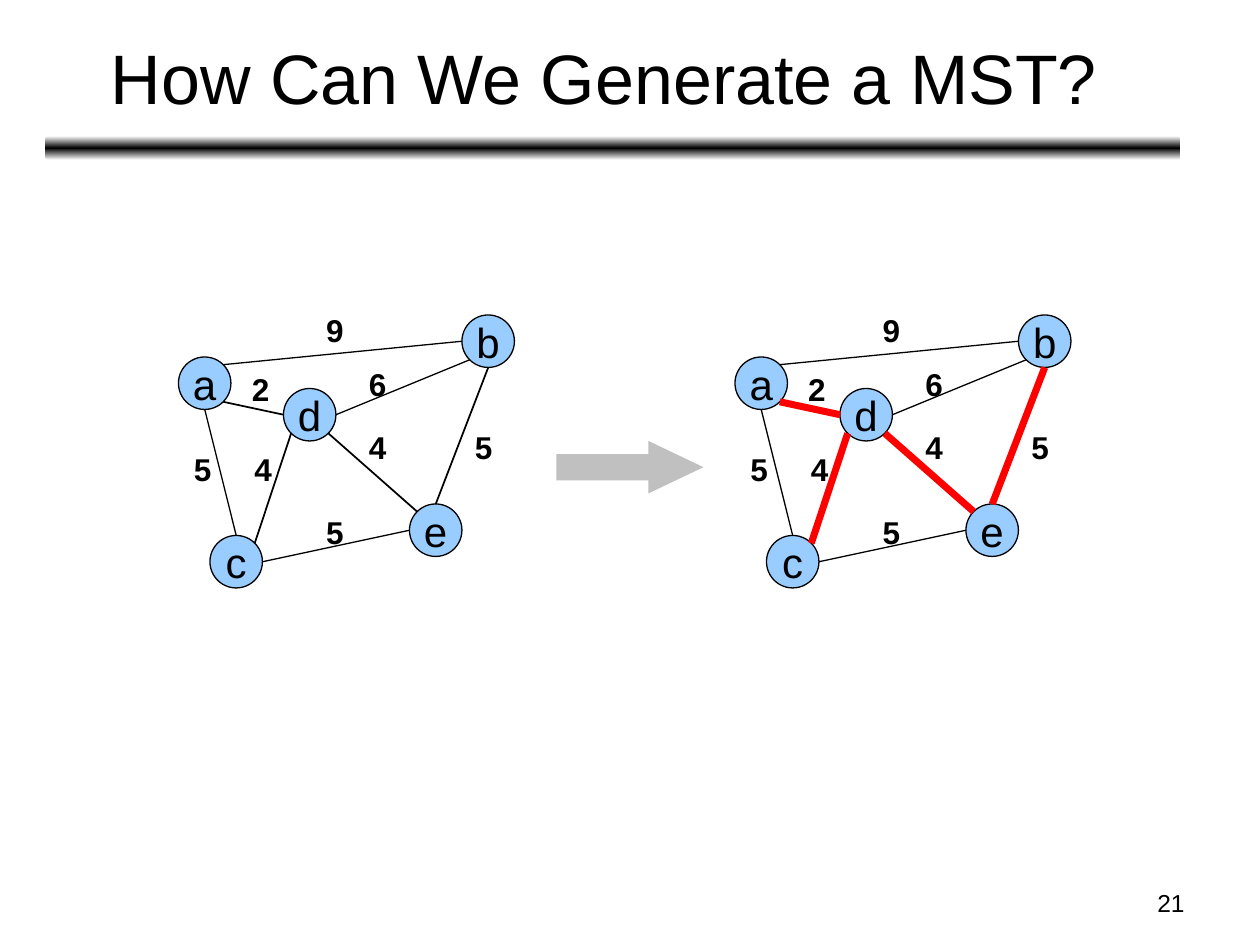
"""Build a slide that shows a weighted graph beside its minimum spanning tree."""
from copy import deepcopy
from math import cos, radians, sin

from pptx import Presentation
from pptx.dml.color import RGBColor
from pptx.enum.shapes import MSO_CONNECTOR, MSO_SHAPE as Shape
from pptx.enum.text import MSO_ANCHOR as Anchor, MSO_AUTO_SIZE as AutoSize, PP_ALIGN as Align
from pptx.oxml.ns import qn
from pptx.util import Inches, Pt

COLORS = {"ink": "000000", "paper": "FFFFFF", "node": "99CCFF",
          "tree": "FF0000", "arrow": "C0C0C0"}
FONT = "Arial"
TITLE = "How Can We Generate a MST? "
PAGE_NUMBER = "21"

WIDTH, HEIGHT = 10, 7.5
UNIT = WIDTH / 120
NODE_SIZE = 5 * UNIT
SHIFT = 53 * UNIT
LABEL_SIZE = (0.34, 0.4)

NODES = {"a": (17, 34), "c": (20, 51), "e": (39, 48), "d": (27, 37), "b": (44, 30)}
ANGLES = {"E": 0, "SE": 45, "S": 90, "SW": 135, "W": 180, "NW": 225, "N": 270, "NE": 315}
EDGES = [
    ("a", "NE", "b", "W", False),
    ("d", "E", "b", "SW", False),
    ("a", "S", "c", "N", False),
    ("a", "SE", "d", "W", True),
    ("c", "NE", "d", "SW", True),
    ("d", "SE", "e", "NW", True),
    ("b", "S", "e", "N", True),
    ("e", "W", "c", "E", False),
]
WEIGHTS = [
    ("2", 1.9, 2.89), ("4", 1.92, 3.52), ("5", 1.44, 3.52), ("9", 2.49, 2.42),
    ("6", 2.83, 2.85), ("4", 2.83, 3.35), ("5", 2.49, 4.02), ("5", 3.67, 3.35),
]


def color(name):
    return RGBColor.from_string(COLORS[name])


def inches(*lengths):
    return [Inches(length) for length in lengths]


def write(box, text, size, align, bold=False):
    para = box.text_frame.paragraphs[0]
    para.alignment = align
    span = para.add_run()
    span.text = text
    span.font.name = FONT
    span.font.size = Pt(size)
    span.font.bold = bold
    span.font.color.rgb = color("ink")


def add_solid(shapes, kind, area, fill):
    shape = shapes.add_shape(kind, *inches(*area))
    shape.shadow.inherit = False
    shape.fill.solid()
    shape.fill.fore_color.rgb = color(fill)
    shape.line.fill.background()
    return shape


def add_rule(shapes):
    rule = add_solid(shapes, Shape.ROUNDED_RECTANGLE, (0.36, 1.08, 9.01, 0.19), "ink")
    rule.fill.gradient()
    rule.fill.gradient_angle = 90
    stop_list = rule._element.spPr.find(qn("a:gradFill")).find(qn("a:gsLst"))
    stop_list.append(deepcopy(stop_list[0]))
    for stop, (position, name) in zip(
            rule.fill.gradient_stops, [(0, "paper"), (0.5, "ink"), (1, "paper")]):
        stop.position = position
        stop.color.rgb = color(name)


def add_node(shapes, name, shift):
    column, row = NODES[name]
    area = (column * UNIT + shift, row * UNIT, NODE_SIZE, NODE_SIZE)
    node = add_solid(shapes, Shape.OVAL, area, "node")
    node.line.color.rgb = color("ink")
    node.line.width = Pt(0.75)
    node.text_frame.word_wrap = False
    node.text_frame.vertical_anchor = Anchor.MIDDLE
    write(node, name, 24, Align.CENTER)


def rim_point(name, side, shift):
    column, row = NODES[name]
    angle = radians(ANGLES[side])
    radius = NODE_SIZE / 2
    return inches(column * UNIT + shift + radius * (1 + cos(angle)),
                  row * UNIT + radius * (1 + sin(angle)))


def add_edge(shapes, start, end, line_color, line_width):
    edge = shapes.add_connector(MSO_CONNECTOR.STRAIGHT, *start, *end)
    edge.line.color.rgb = color(line_color)
    edge.line.width = Pt(line_width)
    properties = edge._element.spPr
    properties.append(properties.makeelement(qn("a:effectLst"), {}))


def add_weight(shapes, text, left, top):
    box = shapes.add_textbox(*inches(left, top, *LABEL_SIZE))
    box.text_frame.word_wrap = False
    box.text_frame.auto_size = AutoSize.SHAPE_TO_FIT_TEXT
    write(box, text, 18, Align.LEFT, bold=True)


def add_graph(page, shift, tree_color, tree_width):
    shapes = page.shapes.add_group_shape().shapes
    for name in NODES:
        add_node(shapes, name, shift)
    for first, first_side, second, second_side, in_tree in EDGES:
        style = (tree_color, tree_width) if in_tree else ("ink", 0.75)
        add_edge(shapes, rim_point(first, first_side, shift),
                 rim_point(second, second_side, shift), *style)
    for text, left, top in WEIGHTS:
        add_weight(shapes, text, left + shift, top)


def main():
    deck = Presentation()
    deck.slide_width, deck.slide_height = inches(WIDTH, HEIGHT)
    page = deck.slides.add_slide(deck.slide_layouts[5])

    title = page.shapes.title
    title.left, title.top, title.width, title.height = inches(0.37, 0.11, 9, 0.99)
    title.text_frame.vertical_anchor = Anchor.MIDDLE
    write(title, TITLE, 40, Align.CENTER)
    add_rule(page.shapes)

    number = page.shapes.add_textbox(*inches(7.17, 7, 2.33, 0.35))
    number.text_frame.word_wrap = True
    write(number, PAGE_NUMBER, 14, Align.RIGHT)

    add_graph(page, 0, "ink", 1)
    add_graph(page, SHIFT, "tree", 4)
    arrow = add_solid(page.shapes, Shape.RIGHT_ARROW,
                      (SHIFT, 42 * UNIT, 14 * UNIT, NODE_SIZE), "arrow")
    arrow.adjustments[1] = 1.05
    deck.save("out.pptx")


if __name__ == "__main__":
    main()
